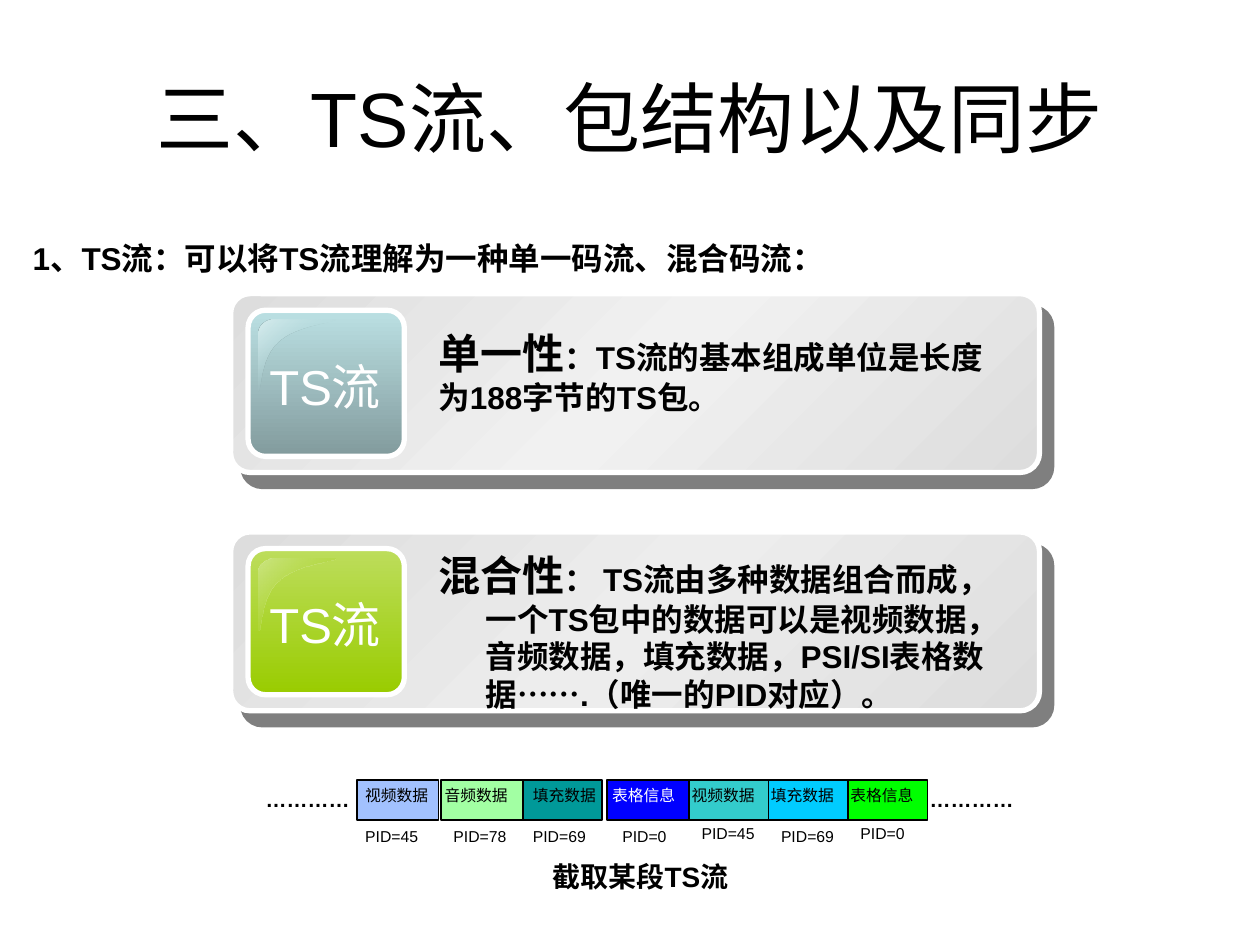
from lxml.etree import SubElement
from pptx import Presentation
from pptx.dml.color import RGBColor
from pptx.enum.shapes import MSO_SHAPE as SHAPE
from pptx.enum.text import MSO_ANCHOR as ANCHOR, MSO_AUTO_SIZE as AUTO, PP_ALIGN as ALIGN
from pptx.oxml.ns import qn
from pptx.util import Pt

BLACK = RGBColor(0x00, 0x00, 0x00)
WHITE = RGBColor(0xFF, 0xFF, 0xFF)
SILVER = RGBColor(0xDD, 0xDD, 0xDD)
SILVER_LIGHT = RGBColor(0xF1, 0xF1, 0xF1)
SILVER_MID = RGBColor(0xED, 0xED, 0xED)
TEAL_LIGHT = RGBColor(0xBB, 0xE0, 0xE3)
TEAL_DARK = RGBColor(0x82, 0x9B, 0x9D)
TEAL_SHEEN = RGBColor(0xD9, 0xED, 0xEE)
LIME_LIGHT = RGBColor(0xBD, 0xDD, 0x5C)
LIME = RGBColor(0x99, 0xCC, 0x00)
LIME_SHEEN = RGBColor(0xCC, 0xE5, 0x82)
VIDEO_BLUE = RGBColor(0xA2, 0xC1, 0xFE)
AUDIO_GREEN = RGBColor(0xA2, 0xFF, 0xA3)
FILLER_TEAL = RGBColor(0x00, 0x99, 0x99)
TABLE_BLUE = RGBColor(0x00, 0x00, 0xFF)
VIDEO_TEAL = RGBColor(0x33, 0xCC, 0xCC)
FILLER_SKY = RGBColor(0x00, 0xCC, 0xFF)
TABLE_GREEN = RGBColor(0x00, 0xFF, 0x00)


def add_text(left, top, width, height, *runs, color=BLACK, bold=False,
             align=None, wrap=True, hanging=0):
    """Add a one-paragraph text box; runs are (text, size) pairs."""
    tf = s.shapes.add_textbox(Pt(left), Pt(top), Pt(width), Pt(height)).text_frame
    tf.word_wrap = wrap
    tf.auto_size = AUTO.SHAPE_TO_FIT_TEXT
    p = tf.paragraphs[0]
    p.alignment = align
    if hanging:
        pPr = p._p.get_or_add_pPr()
        pPr.set("marL", str(Pt(hanging)))
        pPr.set("indent", str(-Pt(hanging)))
    for text, size in runs:
        r = p.add_run()
        r.text = text
        r.font.name, r.font.size, r.font.bold = "Arial", Pt(size), bold
        r.font.color.rgb = color


def fill_gradient(sp, stops, angle):
    """Fill with (percent, colour, opacity percent) stops, angle clockwise."""
    sp.shadow.inherit = False
    sp.fill.gradient()
    sp.fill.gradient_angle = 360 - angle
    gs_list = sp._element.spPr.find(qn("a:gradFill")).find(qn("a:gsLst"))
    for old in list(gs_list):
        gs_list.remove(old)
    for pos, color, opacity in stops:
        gs = SubElement(gs_list, qn("a:gs"), pos=str(pos * 1000))
        clr = SubElement(gs, qn("a:srgbClr"), val=str(color))
        if opacity < 100:
            SubElement(clr, qn("a:alpha"), val=str(opacity * 1000))


prs = Presentation()
prs.slide_width, prs.slide_height = Pt(720), Pt(540)
s = prs.slides.add_slide(prs.slide_layouts[5])

title = s.shapes.title
title.left, title.top, title.width, title.height = Pt(36), Pt(21.6), Pt(648), Pt(90)
title.text_frame.text = "三、TS流、包结构以及同步"
title.text_frame.vertical_anchor = ANCHOR.MIDDLE
p = title.text_frame.paragraphs[0]
p.alignment = ALIGN.CENTER
p.font.name, p.font.size, p.font.color.rgb = "Arial", Pt(44), BLACK

# Outline of the icon's sheen: three Bezier curves joined by straight sides
curves = [
    [(156.2, 182.9), (151.9, 182.9), (147.6, 186.5), (147.6, 190.8)],
    [(147.6, 223.9), (149.8, 224.6), (148.3, 204.5), (159.8, 195.1)],
    [(159.8, 195.1), (170.6, 185.8), (192.2, 185), (191.5, 182.9)],
]
sheen_points = []
for curve in curves:
    for t in [i / 12 for i in range(13)]:
        weights = ((1 - t) ** 3, 3 * t * (1 - t) ** 2, 3 * t * t * (1 - t), t ** 3)
        sheen_points.append([sum(w * pt[axis] for w, pt in zip(weights, curve))
                             for axis in (0, 1)])

cards = [
    (SILVER_LIGHT, (TEAL_LIGHT, TEAL_DARK),
     [(0, TEAL_SHEEN, 100), (50, TEAL_LIGHT, 0), (100, TEAL_SHEEN, 100)],
     183.6, 57.6, 0, "单一性", "：TS流的基本组成单位是长度为188字节的TS包。"),
    (SILVER_MID, (LIME_LIGHT, LIME),
     [(0, LIME, 0), (100, LIME_SHEEN, 100)],
     310.3, 100.8, 27, "混合性",
     "： TS流由多种数据组合而成，一个TS包中的数据可以是视频数据，音频数据，"
     "填充数据，PSI/SI表格数据…….（唯一的PID对应）。"),
]
for i, (middle, icon_colors, sheen_stops, top, height, hanging, term, body) in enumerate(cards):
    dy = 136.2 * i
    card = s.shapes.add_shape(SHAPE.ROUNDED_RECTANGLE, Pt(131.8), Pt(167.8 + dy),
                              Pt(462.2), Pt(102.2))
    card.adjustments[0] = 0.109
    fill_gradient(card, [(0, SILVER, 100), (50, middle, 100), (100, SILVER, 100)], 225)
    shadow = SubElement(card._element.spPr.find(qn("a:effectLst")), qn("a:outerShdw"),
                        dist=str(Pt(10.6)), dir=str(49 * 60000), algn="ctr",
                        rotWithShape="0")
    clr = SubElement(shadow, qn("a:srgbClr"), val=str(BLACK))
    SubElement(clr, qn("a:alpha"), val="50000")

    icon = s.shapes.add_shape(SHAPE.ROUNDED_RECTANGLE, Pt(141.8), Pt(177.3 + dy),
                              Pt(89.3), Pt(83.5))
    icon.adjustments[0] = 0.119
    fill_gradient(icon, [(0, icon_colors[0], 100), (100, icon_colors[1], 100)], 90)
    for sp in (card, icon):
        sp.line.color.rgb, sp.line.width = WHITE, Pt(3)

    outline = [(Pt(x), Pt(y + dy)) for x, y in sheen_points]
    builder = s.shapes.build_freeform(*outline[0])
    builder.add_line_segments(outline[1:], close=True)
    sheen = builder.convert_to_shape()
    fill_gradient(sheen, sheen_stops, 225)
    sheen.line.fill.background()

    add_text(143.3, 200.2 + dy, 85, 41, ("TS流", 28), color=WHITE,
             align=ALIGN.CENTER, wrap=False)
    add_text(243.4, top, 339.8, height, (term, 24), (body, 18), bold=True, hanging=hanging)

add_text(11.5, 133.2, 519.1, 28.8,
         ("1、TS流：可以将TS流理解为一种单一码流、混合码流：", 18), bold=True)

# Packets back to front: box left, fill, label left, label, its colour, PID, PID left and top
packets = [
    (203.8, VIDEO_BLUE, 201.6, "视频数据", BLACK, "PID=45", 201.6, 468.7),
    (297.4, FILLER_TEAL, 297.4, "填充数据", BLACK, "PID=69", 297.4, 468.7),
    (252, AUDIO_GREEN, 247, "音频数据", BLACK, "PID=78", 252, 468.7),
    (347, TABLE_BLUE, 342.7, "表格信息", WHITE, "PID=0", 348.5, 468.7),
    (393.8, VIDEO_TEAL, 388.1, "视频数据", BLACK, "PID=45", 393.8, 467.3),
    (439.2, FILLER_SKY, 433.4, "填充数据", BLACK, "PID=69", 439.2, 468.7),
    (484.6, TABLE_GREEN, 478.8, "表格信息", BLACK, "PID=0", 484.6, 467.3),
]
row_top = 445.7
for left, fill, *_ in packets:
    width = 45.4 if fill == TABLE_GREEN else 46.8
    box = s.shapes.add_shape(SHAPE.RECTANGLE, Pt(left), Pt(row_top), Pt(width), Pt(23))
    box.shadow.inherit = False
    box.fill.solid()
    box.fill.fore_color.rgb = fill
    box.line.color.rgb, box.line.width = BLACK, Pt(1)
for _, _, label_left, label, color, pid, pid_left, pid_top in packets:
    add_text(label_left, row_top, 51.1, 18, (label, 9), color=color)
    add_text(pid_left, pid_top, 51.1, 18, (pid, 9))

for left in (144.7, 524.2):
    add_text(left, row_top, 90.7, 21.6, ("…………", 12), bold=True)
add_text(308.9, 487.4, 124.6, 26.6, ("截取某段TS流", 16), bold=True)

prs.save("out.pptx")
